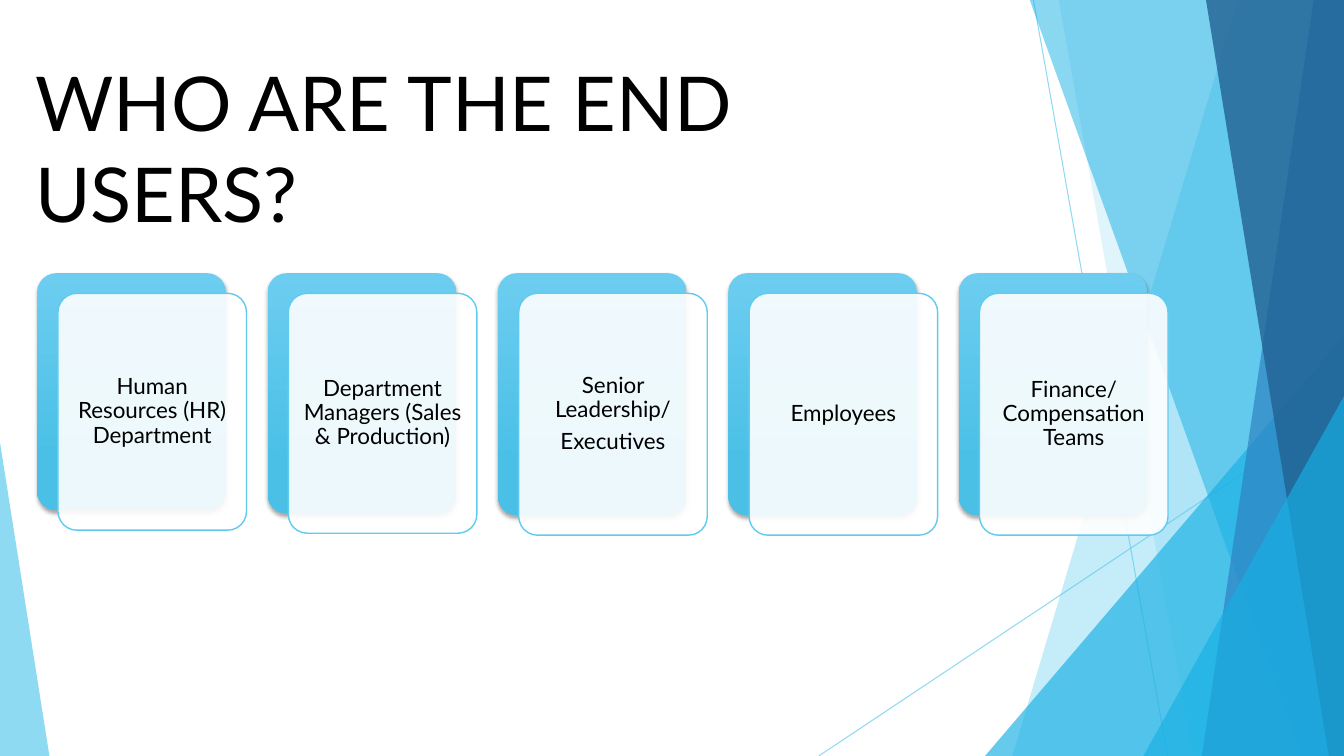
from pptx import Presentation
from pptx.dml.color import RGBColor
from pptx.enum import shapes, text
from pptx.oxml import parse_xml
from pptx.oxml.ns import qn, nsdecls
from pptx.util import Inches, Pt

FONT = "Lato"
SKY, CYAN, BLUE, NAVY = "5FCBEF", "17B0E4", "2E83C3", "226292"
WIDE, HIGH = 13.33, 7.5

# Left corner of each facet: top x, bottom x, colour, opacity
BACK = [(12.28, 10.04, SKY, 36), (10.5, 11.83, SKY, 20)]
FRONT = [(10.21, 12.91, CYAN, 50), (13.03, 11.92, BLUE, 70),
         (11.96, 13.18, NAVY, 80)]

# Height of each card and its lines of text
USERS = [
    (2.35, ["Human Resources (HR) Department"]),
    (2.38, ["Department Managers (Sales & Production)"]),
    (2.4, ["Senior Leadership/", "Executives"]),
    (2.4, ["Employees"]),
    (2.4, ["Finance/Compensation Teams"]),
]


def color(code):
    return RGBColor.from_string(code)


def paint(fill, code, alpha=100):
    fill.solid()
    fill.fore_color.rgb = color(code)
    if alpha < 100:
        tint = fill._xPr.find(qn("a:solidFill"))[0]
        tint.append(parse_xml(
            f'<a:alpha {nsdecls("a")} val="{alpha * 1000}"/>'))


def add_line(slide, x1, y1, x2, y2):
    line = slide.shapes.add_connector(
        shapes.MSO_CONNECTOR.STRAIGHT,
        Inches(x1), Inches(y1), Inches(x2), Inches(y2))
    line.line.width = Pt(0.75)
    paint(line.line.fill, SKY, 70)
    line._element.spPr.append(parse_xml(f'<a:effectLst {nsdecls("a")}/>'))


def add_facet(slide, top, base, code, alpha):
    pen = slide.shapes.build_freeform(Inches(top), Inches(-0.01))
    pen.add_line_segments([(Inches(x), Inches(y)) for x, y in
                           [(WIDE, -0.01), (WIDE, HIGH), (base, HIGH)]])
    facet = pen.convert_to_shape()
    facet.shadow.inherit = False
    facet.line.fill.background()
    paint(facet.fill, code, alpha)


def add_shape(slide, kind, x, y, w, h, adj):
    shape = slide.shapes.add_shape(
        kind, Inches(x), Inches(y), Inches(w), Inches(h))
    shape.adjustments[0] = adj
    shape.shadow.inherit = False
    shape.line.fill.background()
    return shape


def add_wedge(slide, x, y, w, adj, code, alpha):
    wedge = add_shape(slide, shapes.MSO_SHAPE.ISOSCELES_TRIANGLE,
                      x, y, w, HIGH - y, adj)
    paint(wedge.fill, code, alpha)


def set_font(para, size):
    para.font.name = FONT
    para.font.size = Pt(size)
    para.font.color.rgb = color("000000")


def add_title(slide, words):
    box = slide.shapes.add_textbox(
        Inches(0.25), Inches(0.51), Inches(9.7), Inches(1.01))
    frame = box.text_frame
    frame.word_wrap = True
    frame.auto_size = text.MSO_AUTO_SIZE.SHAPE_TO_FIT_TEXT
    frame.text = words
    set_font(frame.paragraphs[0], 54)


def add_card(slide, x, h, lines):
    round_box = shapes.MSO_SHAPE.ROUNDED_RECTANGLE
    # Shaded back plate
    plate = add_shape(slide, round_box, x, 2.71, 1.87, h, 0.1)
    plate.fill.gradient()
    plate.fill.gradient_angle = 270
    stops = plate.fill.gradient_stops
    for stop, place, code in zip(stops, (0, 0.78), ("6CCDF0", "4BC0E6")):
        stop.position = place
        stop.color.rgb = color(code)
    plate._element.spPr.find(qn("a:effectLst")).append(parse_xml(
        f'<a:outerShdw {nsdecls("a")} blurRad="{Pt(3)}" dist="{Pt(2)}" '
        'dir="5400000" rotWithShape="0"><a:srgbClr val="000000">'
        '<a:alpha val="35000"/></a:srgbClr></a:outerShdw>'))

    # Pale front plate with the text
    card = add_shape(slide, round_box, x + 0.205, 2.91, 1.87, h, 0.1)
    paint(card.fill, "FFFFFF", 90)
    paint(card.line.fill, SKY)
    card.line.width = Pt(1)
    frame = card.text_frame
    frame.word_wrap = True
    frame.vertical_anchor = text.MSO_ANCHOR.MIDDLE
    frame.margin_left = frame.margin_right = Inches(0.07)
    frame.margin_top = frame.margin_bottom = Inches(0.07)
    frame.text = "\n".join(lines)
    for para in frame.paragraphs:
        para.alignment = text.PP_ALIGN.CENTER
        para.line_spacing = 0.9
        para.space_after = Pt(5.6)
        set_font(para, 16)


def main():
    deck = Presentation()
    deck.slide_width, deck.slide_height = Inches(WIDE), Inches(HIGH)
    slide = deck.slides.add_slide(deck.slide_layouts[6])

    # Faceted backdrop
    add_line(slide, 10.25, 0, 11.58, HIGH)
    add_line(slide, WIDE, 4.03, 8.12, HIGH)
    for facet in BACK:
        add_facet(slide, *facet)
    add_wedge(slide, 9.77, 3.33, 3.56, 1, CYAN, 66)
    for facet in FRONT:
        add_facet(slide, *facet)
    add_wedge(slide, 11.34, 3.93, 1.99, 1, CYAN, 66)
    add_wedge(slide, 0, 4.39, 0.49, 0, SKY, 70)

    # Title and row of cards
    add_title(slide, "WHO ARE THE END USERS?")
    for i, (h, lines) in enumerate(USERS):
        add_card(slide, 0.37 + i * 2.285, h, lines)

    deck.save("out.pptx")


if __name__ == "__main__":
    main()
